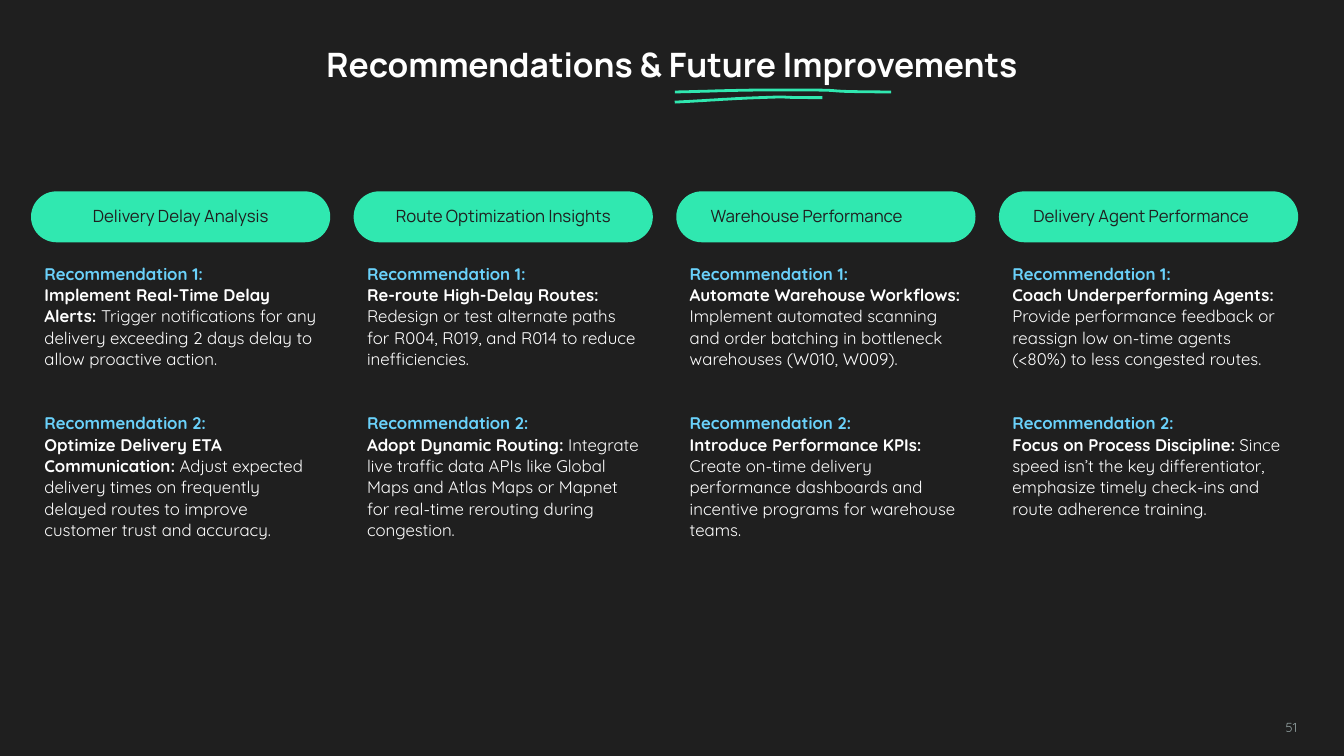
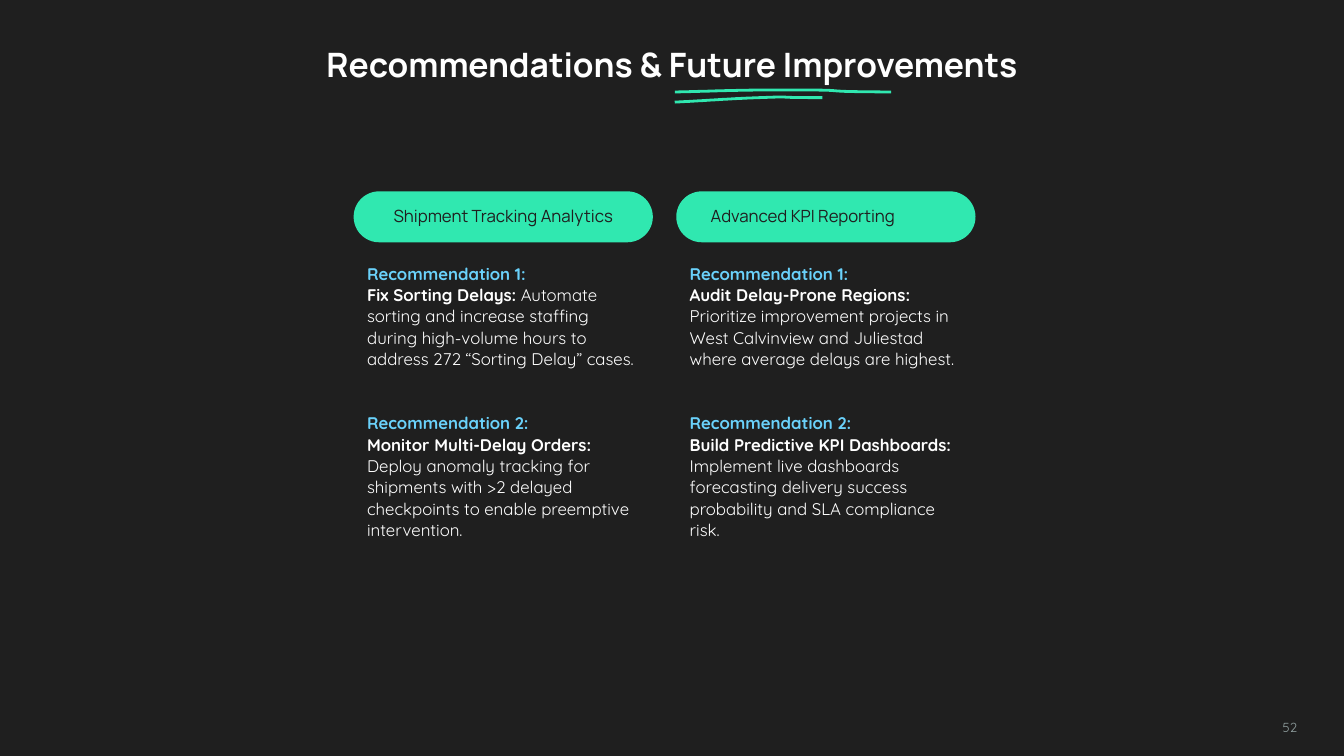
from lxml import etree
from pptx import Presentation
from pptx.dml.color import RGBColor
from pptx.enum.shapes import MSO_SHAPE
from pptx.enum.text import MSO_ANCHOR, MSO_AUTO_SIZE, PP_ALIGN
from pptx.oxml.ns import qn
from pptx.util import Pt

LEFT, CENTER, RIGHT = PP_ALIGN.LEFT, PP_ALIGN.CENTER, PP_ALIGN.RIGHT
TOP, MIDDLE = MSO_ANCHOR.TOP, MSO_ANCHOR.MIDDLE
PILL = MSO_SHAPE.ROUNDED_RECTANGLE

# Content: each column is (heading, [(action, explanation), ...])
TITLE = "Recommendations & Future Improvements"
SLIDES = [
    {"number": 51, "layout": "Comparison", "columns": [
        ("Delivery Delay Analysis", [
            ("Implement Real-Time Delay Alerts:",
             "Trigger notifications for any delivery exceeding 2 days delay "
             "to allow proactive action."),
            ("Optimize Delivery ETA Communication:",
             "Adjust expected delivery times on frequently delayed routes "
             "to improve customer trust and accuracy."),
        ]),
        ("Route Optimization Insights", [
            ("Re-route High-Delay Routes:",
             "Redesign or test alternate paths for R004, R019, and R014 "
             "to reduce inefficiencies."),
            ("Adopt Dynamic Routing:",
             "Integrate live traffic data APIs like Global Maps and Atlas Maps "
             "or Mapnet for real-time rerouting during congestion."),
        ]),
        ("Warehouse Performance", [
            ("Automate Warehouse Workflows:",
             "Implement automated scanning and order batching in bottleneck "
             "warehouses (W010, W009)."),
            ("Introduce Performance KPIs:",
             "Create on-time delivery performance dashboards and incentive "
             "programs for warehouse teams."),
        ]),
        ("Delivery Agent Performance", [
            ("Coach Underperforming Agents:",
             "Provide performance feedback or reassign low on-time agents "
             "(<80%) to less congested routes."),
            ("Focus on Process Discipline:",
             "Since speed isn’t the key differentiator, emphasize timely "
             "check-ins and route adherence training."),
        ]),
    ]},
    {"number": 52, "layout": "Two Content", "columns": [
        ("Shipment Tracking Analytics", [
            ("Fix Sorting Delays:",
             "Automate sorting and increase staffing during high-volume hours "
             "to address 272 “Sorting Delay” cases."),
            ("Monitor Multi-Delay Orders:",
             "Deploy anomaly tracking for shipments with >2 delayed checkpoints "
             "to enable preemptive intervention."),
        ]),
        ("Advanced KPI Reporting", [
            ("Audit Delay-Prone Regions:",
             "Prioritize improvement projects in West Calvinview and Juliestad "
             "where average delays are highest."),
            ("Build Predictive KPI Dashboards:",
             "Implement live dashboards forecasting delivery success "
             "probability and SLA compliance risk."),
        ]),
    ]},
]

# Shared style, lengths in points
COLORS = {"background": "1F1F1F", "accent": "30E8B0", "label": "6AD1FA",
          "text": "FFFFFF", "number": "93A2A2"}
HEAD_FONT, BODY_FONT = "Manrope", "Quicksand"
GRID_COLUMNS, GRID_LEFT, PITCH, COLUMN_WIDTH = 4, 16.6, 172.85, 160.3
PILL_TOP, PILL_HEIGHT = 102.5, 27.3
BODY_TOP, BODY_HEIGHT = 133.2, 169
ITEM_GAP = 23
INSET = 7.2

# Title underline strokes: start point, then three points per Bézier curve
STROKES = [
    [(361.5, 54.7), (376.6, 54), (384.5, 53.3), (399.6, 52.6),
     (433.4, 51.3), (406.1, 52.4), (440.6, 52.3)],
    [(361.5, 49.3), (383.8, 48.8), (395.3, 48.2), (417.6, 48.2),
     (467.3, 48.2), (427, 49), (477.4, 49.3)],
]
CURVE_STEPS = 16


def rgb(name):
    return RGBColor.from_string(COLORS[name])


def add_text(paragraph, text, font=BODY_FONT, size=9, color="text", bold=False):
    run = paragraph.add_run()
    run.text = text
    run.font.name, run.font.size, run.font.bold = font, Pt(size), bold
    run.font.color.rgb = rgb(color)


def set_frame(shape, anchor=TOP, side=INSET, vertical=INSET):
    frame = shape.text_frame
    frame.word_wrap = True
    frame.auto_size = MSO_AUTO_SIZE.NONE
    frame.vertical_anchor = anchor
    frame.margin_left = frame.margin_right = Pt(side)
    frame.margin_top = frame.margin_bottom = Pt(vertical)
    return frame


def place(shape, left, top, width, height):
    shape.left, shape.top = Pt(left), Pt(top)
    shape.width, shape.height = Pt(width), Pt(height)


def plain_paragraph(frame, first, before=0):
    """Unbulleted paragraph of a recommendation list."""
    paragraph = frame.paragraphs[0] if first else frame.add_paragraph()
    properties = paragraph._p.get_or_add_pPr()
    properties.set("marL", "0")
    properties.set("indent", "0")
    etree.SubElement(properties, qn("a:buNone"))
    paragraph.alignment = LEFT
    paragraph.line_spacing = 1.06
    paragraph.space_before = Pt(before)
    return paragraph


def curve_points(stroke):
    points = []
    for start in range(0, len(stroke) - 1, 3):
        controls = stroke[start:start + 4]
        for step in range(1, CURVE_STEPS + 1):
            t = step / CURVE_STEPS
            weights = ((1 - t) ** 3, 3 * t * (1 - t) ** 2,
                       3 * t ** 2 * (1 - t), t ** 3)
            points.append(tuple(
                Pt(sum(w * c[axis] for w, c in zip(weights, controls)))
                for axis in (0, 1)))
    return points


def add_title(slide):
    title = slide.shapes.title
    place(title, 152, 16.5, 416, 36)
    paragraph = set_frame(title).paragraphs[0]
    paragraph.alignment = CENTER
    add_text(paragraph, TITLE, font=HEAD_FONT, size=18, bold=True)
    for stroke in STROKES:
        x, y = stroke[0]
        builder = slide.shapes.build_freeform(Pt(x), Pt(y))
        builder.add_line_segments(curve_points(stroke), close=False)
        underline = builder.convert_to_shape()
        underline.shadow.inherit = False
        underline.fill.background()
        underline.line.color.rgb = rgb("accent")
        underline.line.width = Pt(1.5)


def add_number(slide, number):
    box = slide.shapes.add_textbox(Pt(529), Pt(378), Pt(173), Pt(23))
    paragraph = set_frame(box).paragraphs[0]
    paragraph.alignment = RIGHT
    add_text(paragraph, str(number), size=7, color="number")


def add_heading(slide, heading, left, alignment):
    pill = slide.shapes.add_shape(PILL, Pt(left), Pt(PILL_TOP),
                                  Pt(COLUMN_WIDTH), Pt(PILL_HEIGHT))
    pill.adjustments[0] = 0.5
    pill.shadow.inherit = False
    pill.fill.solid()
    pill.fill.fore_color.rgb = rgb("accent")
    pill.line.fill.background()
    paragraph = set_frame(pill, MIDDLE, side=2 * INSET, vertical=0).paragraphs[0]
    paragraph.alignment = alignment
    paragraph.line_spacing = 0.9
    add_text(paragraph, heading, font=HEAD_FONT, color="background")


def fill_recommendations(body, items, left):
    place(body, left, BODY_TOP, COLUMN_WIDTH, BODY_HEIGHT)
    frame = set_frame(body)
    for order, (action, explanation) in enumerate(items, 1):
        first = order == 1
        label = plain_paragraph(frame, first, 0 if first else ITEM_GAP)
        add_text(label, f"Recommendation {order}:", color="label", bold=True)
        detail = plain_paragraph(frame, False)
        add_text(detail, action, bold=True)
        add_text(detail, " " + explanation)


def main():
    prs = Presentation()
    prs.slide_width, prs.slide_height = Pt(720), Pt(405)
    background = prs.slide_master.background.fill
    background.solid()
    background.fore_color.rgb = rgb("background")

    for content in SLIDES:
        slide = prs.slides.add_slide(
            prs.slide_layouts.get_by_name(content["layout"]))
        add_title(slide)
        add_number(slide, content["number"])
        bodies = list(slide.placeholders)[1:]
        columns = content["columns"]
        # Centre the used columns on the four-column grid
        offset = (GRID_COLUMNS - len(columns)) // 2
        for column, (body, (heading, items)) in enumerate(
                zip(bodies, columns), offset):
            left = GRID_LEFT + column * PITCH
            alignment = CENTER if column < GRID_COLUMNS / 2 else LEFT
            add_heading(slide, heading, left, alignment)
            fill_recommendations(body, items, left)

    prs.save("out.pptx")


if __name__ == "__main__":
    main()
